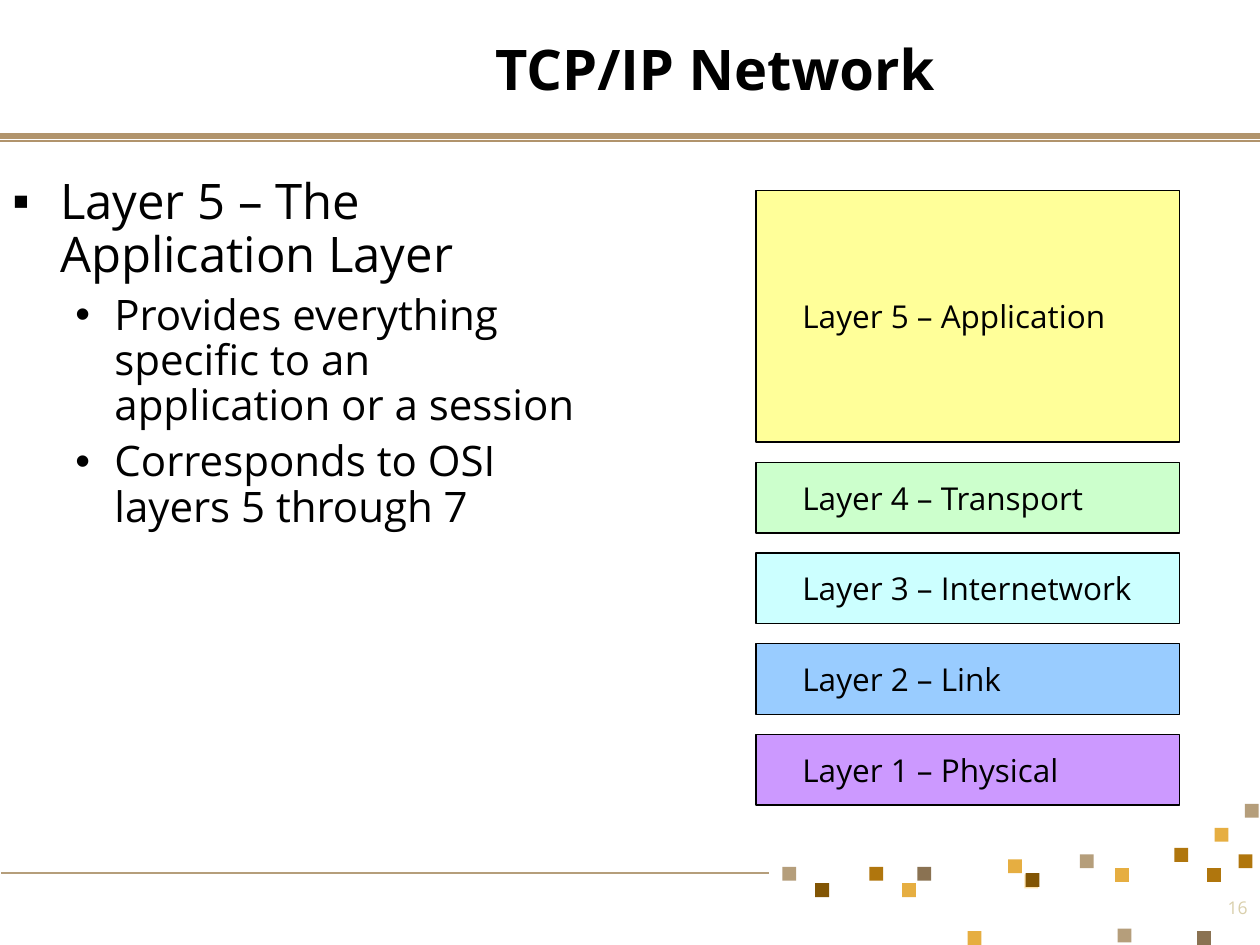
from lxml import etree
from pptx import Presentation
from pptx.dml.color import RGBColor
from pptx.enum.shapes import MSO_CONNECTOR, MSO_SHAPE
from pptx.enum.text import MSO_ANCHOR, PP_ALIGN
from pptx.oxml.ns import qn
from pptx.util import Inches, Pt

STRAIGHT = MSO_CONNECTOR.STRAIGHT
RECTANGLE = MSO_SHAPE.RECTANGLE
TOP, MIDDLE = MSO_ANCHOR.TOP, MSO_ANCHOR.MIDDLE
LEFT, RIGHT = PP_ALIGN.LEFT, PP_ALIGN.RIGHT

FONT = "Open Sans"
BLACK = RGBColor(0x00, 0x00, 0x00)
RULE_BROWN = RGBColor(0xB1, 0x94, 0x6C)
TAN = RGBColor(0xB5, 0x9E, 0x7B)
GOLD = RGBColor(0xE6, 0xAE, 0x41)
OCHRE = RGBColor(0xB0, 0x76, 0x0D)
DARK_BROWN = RGBColor(0x82, 0x55, 0x04)
CREAM = RGBColor(0xFF, 0xE3, 0xAB)
TAUPE = RGBColor(0x8A, 0x72, 0x52)
NUMBER_BEIGE = RGBColor(0xD9, 0xCF, 0xAB)
YELLOW = RGBColor(0xFF, 0xFF, 0x99)
GREEN = RGBColor(0xCC, 0xFF, 0xCC)
CYAN = RGBColor(0xCC, 0xFF, 0xFF)
BLUE = RGBColor(0x99, 0xCC, 0xFF)
PURPLE = RGBColor(0xCC, 0x99, 0xFF)

SQUARES = [
    (9.64, 6.57, GOLD), (8.85, 6.89, GOLD), (7.68, 7.39, GOLD),
    (8.87, 7.37, TAN), (9.83, 6.78, OCHRE), (9.58, 6.89, OCHRE),
    (9.32, 6.73, OCHRE), (8.57, 6.78, TAN), (6.9, 6.88, OCHRE),
    (6.21, 6.88, TAN), (7.16, 7.01, GOLD), (8, 6.82, GOLD),
    (9.88, 6.38, TAN), (6.47, 7.01, DARK_BROWN), (8.13, 6.94, CREAM),
    (8.14, 6.93, DARK_BROWN), (7.28, 6.88, TAUPE), (9.5, 7.39, TAUPE),
]

BULLETS = [
    ("Layer 5 – The Application Layer", 0),
    ("Provides everything specific to an application or a session", 1),
    ("Corresponds to OSI layers 5 through 7", 1),
]
BULLET_STYLES = [("▪", 28, 0.38, 0.38), ("•", 24, 0.81, 0.31)]

LAYERS = [
    ("Layer 5 – Application", YELLOW, 2),
    ("Layer 4 – Transport", GREEN, 0.56),
    ("Layer 3 – Internetwork", CYAN, 0.56),
    ("Layer 2 – Link", BLUE, 0.56),
    ("Layer 1 – Physical", PURPLE, 0.56),
]


def add_rule(slide, left, top, right, color, width):
    rule = slide.shapes.add_connector(
        STRAIGHT, Inches(left), Inches(top), Inches(right), Inches(top))
    rule.line.color.rgb = color
    rule.line.width = Pt(width)
    etree.SubElement(rule._element.spPr, qn("a:effectLst"))


def add_rectangle(slide, left, top, width, height, fill):
    rectangle = slide.shapes.add_shape(
        RECTANGLE, Inches(left), Inches(top), Inches(width), Inches(height))
    rectangle.shadow.inherit = False
    rectangle.fill.solid()
    rectangle.fill.fore_color.rgb = fill
    rectangle.line.fill.background()
    return rectangle


def add_text_box(slide, left, top, width, height, anchor=TOP):
    box = slide.shapes.add_textbox(
        Inches(left), Inches(top), Inches(width), Inches(height))
    box.text_frame.word_wrap = True
    box.text_frame.vertical_anchor = anchor
    return box.text_frame


def add_run(paragraph, text, size, color=BLACK, bold=False):
    run = paragraph.add_run()
    run.text = text
    run.font.name = FONT
    run.font.size = Pt(size)
    run.font.bold = bold
    run.font.color.rgb = color


def set_bullet(paragraph, character, margin, hanging):
    properties = paragraph._p.get_or_add_pPr()
    properties.set("marL", str(Inches(margin)))
    properties.set("indent", str(-Inches(hanging)))
    etree.SubElement(properties, qn("a:buFont"), typeface="Arial")
    etree.SubElement(properties, qn("a:buChar"), char=character)


def add_decoration(slide):
    add_rule(slide, 0, 1.08, 10, RULE_BROWN, 3)
    add_rule(slide, 0, 1.12, 10, RULE_BROWN, 1)
    add_rule(slide, 0.01, 6.93, 6.1, TAN, 1)
    for left, top, color in SQUARES:
        add_rectangle(slide, left, top, 0.11, 0.11, color)


def add_title(slide, left, top, width, height):
    title = slide.shapes.title
    title.left, title.top = Inches(left), Inches(top)
    title.width, title.height = Inches(width), Inches(height)
    title.text_frame.vertical_anchor = MIDDLE
    paragraph = title.text_frame.paragraphs[0]
    paragraph.alignment = LEFT
    add_run(paragraph, "TCP/IP Network", 32, bold=True)


def add_bullets(slide, left, top, width, height):
    frame = add_text_box(slide, left, top, width, height)
    for index, (text, level) in enumerate(BULLETS):
        paragraph = frame.add_paragraph() if index else frame.paragraphs[0]
        character, size, margin, hanging = BULLET_STYLES[level]
        set_bullet(paragraph, character, margin, hanging)
        paragraph.level = level
        paragraph.line_spacing = 0.9
        if index:
            paragraph.space_before = Pt(6)
        add_run(paragraph, text, size)


def add_layer_stack(slide, left, top, width, gap):
    label_indent, label_height = 0.27, 0.4
    for text, color, height in LAYERS:
        rectangle = add_rectangle(slide, left, top, width, height, color)
        rectangle.line.color.rgb = BLACK
        rectangle.line.width = Pt(0.75)
        label = add_text_box(
            slide, left + label_indent, top + (height - label_height) / 2,
            width - label_indent, label_height, MIDDLE)
        add_run(label.paragraphs[0], text, 18)
        top += height + gap


def add_slide_number(slide, left, top, width, height):
    paragraph = add_text_box(slide, left, top, width, height).paragraphs[0]
    paragraph.alignment = RIGHT
    add_run(paragraph, "16", 10, NUMBER_BEIGE)


def main():
    presentation = Presentation()
    presentation.slide_width = Inches(10)
    presentation.slide_height = Inches(7.5)
    slide = presentation.slides.add_slide(presentation.slide_layouts[5])
    add_decoration(slide)
    add_title(slide, 3.83, 0, 6.17, 1.08)
    add_bullets(slide, 0, 1.36, 4.75, 5.57)
    add_layer_stack(slide, 6, 1.51, 3.36, 0.16)
    add_slide_number(slide, 9.5, 7.07, 0.5, 0.42)
    presentation.save("out.pptx")


if __name__ == "__main__":
    main()
